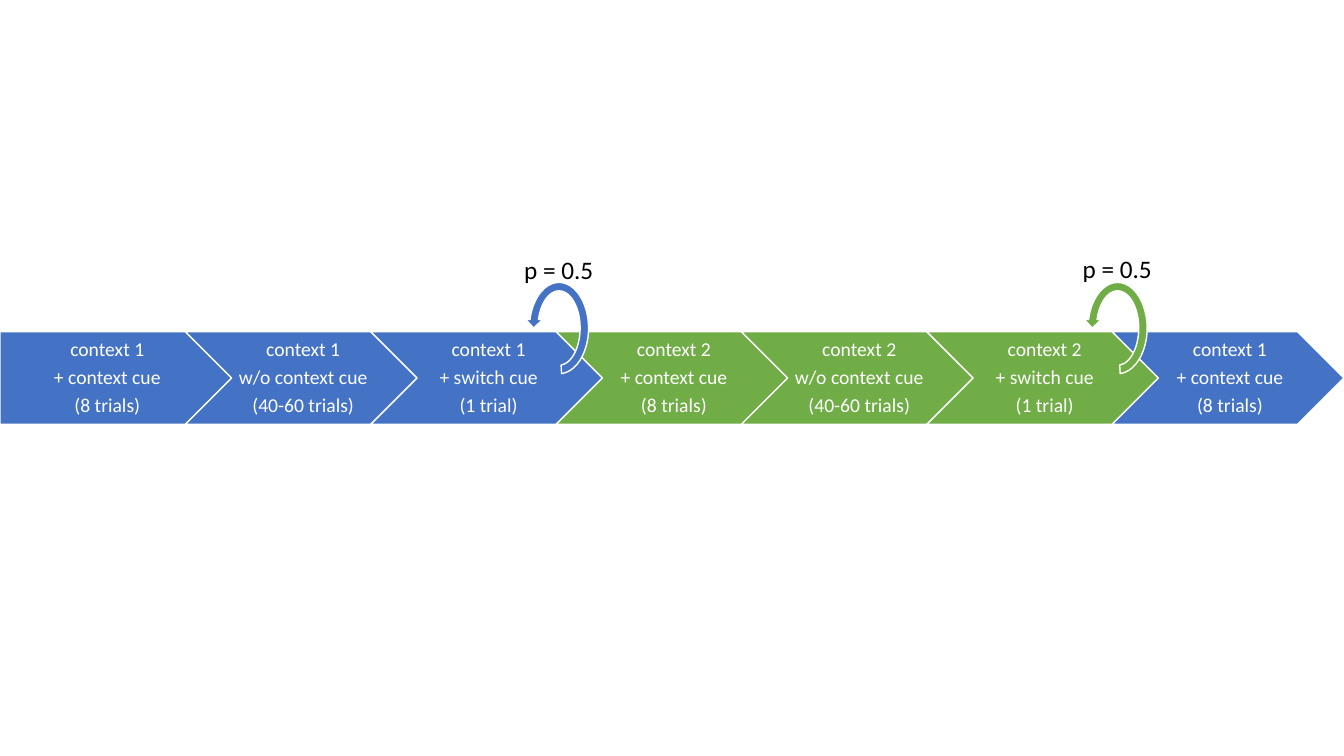
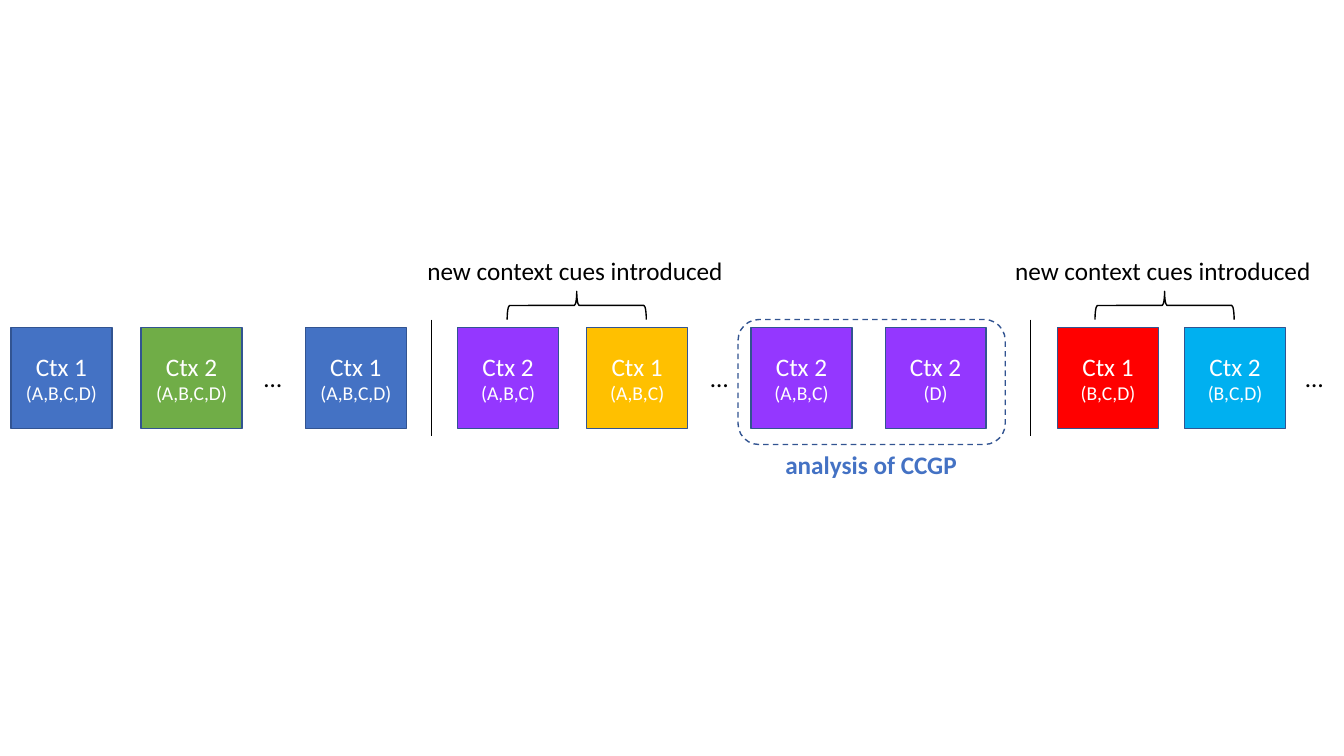
from typing import NamedTuple

from lxml import etree
from pptx import Presentation
from pptx.dml.color import RGBColor
from pptx.enum import dml, shapes, text
from pptx.oxml.ns import qn
from pptx.util import Inches, Pt

FONT = "Calibri"
COLORS = {
    "blue": "4472C4",
    "green": "70AD47",
    "purple": "9437FF",
    "gold": "FFC000",
    "red": "FF0000",
    "sky": "00B0F0",
    "outline": "325491",
    "black": "000000",
    "white": "FFFFFF",
}
SHAPE = shapes.MSO_SHAPE
BAND_TOP, STEP_W, STEP_H = 3.29, 2.3, 0.92
STEP_PITCH = (13.33 - STEP_W) / 6
STEP_INSETS = {"margin_top": 0.04, "margin_right": 0.02, "margin_bottom": 0.04}
LOOP_ADJUSTMENTS = (0.125, 11.423, 204.577, 55.933, 0.125)
BLOCK_TOP, BLOCK_SIZE = 3.25, 1


class Box(NamedTuple):
    left: float
    top: float
    width: float
    height: float


class Step(NamedTuple):
    context: int
    cue: str
    trials: str


class Loop(NamedTuple):
    left: float
    color: str
    label_top: float


class Block(NamedTuple):
    left: float
    context: int
    items: str
    color: str


CUE_STEP = ("+ context cue", "(8 trials)")
PHASES = (CUE_STEP, ("w/o context cue", "(40-60 trials)"), ("+ switch cue", "(1 trial)"))
STEPS = [Step(context, *phase) for context in (1, 2) for phase in PHASES] + [Step(1, *CUE_STEP)]
STEP_COLORS = {1: "blue", 2: "green"}
LOOPS = [Loop(5.21, "blue", 2.47), Loop(10.75, "green", 2.46)]

BLOCKS = [
    Block(0.11, 1, "A,B,C,D", "blue"),
    Block(1.4, 2, "A,B,C,D", "green"),
    Block(3.03, 1, "A,B,C,D", "blue"),
    Block(4.54, 2, "A,B,C", "purple"),
    Block(5.82, 1, "A,B,C", "gold"),
    Block(7.45, 2, "A,B,C", "purple"),
    Block(8.78, 2, "D", "purple"),
    Block(10.49, 1, "B,C,D", "red"),
    Block(11.75, 2, "B,C,D", "sky"),
]
ELLIPSIS_LEFTS = (2.52, 6.95, 12.85)
DIVIDER_LEFTS = (4.28, 10.22)
BRACE_CENTERS = (5.72, 11.55)


def rgb(name: str) -> RGBColor:
    return RGBColor.from_string(COLORS[name])


def add_run(p, content: str, size: float, color: str, bold: bool = False) -> None:
    r = p.add_run()
    r.text = content
    for name, value in {"name": FONT, "size": Pt(size), "bold": bold}.items():
        setattr(r.font, name, value)
    r.font.color.rgb = rgb(color)


def add_shape(slide, kind, box: Box, fill: str | None, line: str):
    sp = slide.shapes.add_shape(kind, *map(Inches, box))
    sp.shadow.inherit = False
    if fill:
        sp.fill.solid()
        sp.fill.fore_color.rgb = rgb(fill)
    else:
        sp.fill.background()
    sp.line.color.rgb = rgb(line)
    sp.line.width = Pt(1)
    return sp


def add_label(slide, content: str, box: Box, color: str = "black", bold: bool = False,
              wrap: bool = True) -> None:
    tf = slide.shapes.add_textbox(*map(Inches, box)).text_frame
    tf.word_wrap = wrap
    tf.auto_size = text.MSO_AUTO_SIZE.SHAPE_TO_FIT_TEXT
    add_run(tf.paragraphs[0], content, 18, color, bold)


def add_step(slide, index: int, step: Step) -> None:
    kind = SHAPE.CHEVRON if index else SHAPE.PENTAGON
    box = Box(index * STEP_PITCH, BAND_TOP, STEP_W, STEP_H)
    tf = add_shape(slide, kind, box, STEP_COLORS[step.context], "white").text_frame
    tf.vertical_anchor = text.MSO_ANCHOR.MIDDLE
    for name, value in {**STEP_INSETS, "margin_left": 0.06 if index else 0.08}.items():
        setattr(tf, name, Inches(value))
    for i, content in enumerate((f"context {step.context}", step.cue, step.trials)):
        p = tf.add_paragraph() if i else tf.paragraphs[0]
        formats = {"alignment": text.PP_ALIGN.CENTER, "line_spacing": 0.9, "space_after": Pt(4.9)}
        for name, value in formats.items():
            setattr(p, name, value)
        add_run(p, content, 14, "white")


def add_loop(slide, loop: Loop) -> None:
    """Add a repeat arrow with its probability above it."""
    box = Box(loop.left, 2.76, 0.67, 0.99)
    sp = add_shape(slide, SHAPE.CIRCULAR_ARROW, box, loop.color, "white")
    for i, value in enumerate(LOOP_ADJUSTMENTS):
        sp.adjustments[i] = value
    sp.element.spPr.find(qn("a:xfrm")).set("flipH", "1")
    add_label(slide, "p = 0.5", Box(loop.left - 0.11, loop.label_top, 0.89, 0.4))


def add_block(slide, block: Block) -> None:
    box = Box(block.left, BLOCK_TOP, BLOCK_SIZE, BLOCK_SIZE)
    tf = add_shape(slide, SHAPE.RECTANGLE, box, block.color, "outline").text_frame
    tf.vertical_anchor = text.MSO_ANCHOR.MIDDLE
    p = tf.paragraphs[0]
    p.alignment = text.PP_ALIGN.CENTER
    add_run(p, f"Ctx {block.context}", 18, "white")
    p.add_line_break()
    add_run(p, f"({block.items})", 14, "white")


def add_divider(slide, left: float) -> None:
    ends = map(Inches, (left, 3.17, left, 4.33))
    line = slide.shapes.add_connector(shapes.MSO_CONNECTOR.STRAIGHT, *ends)
    line.line.color.rgb = rgb("black")
    line.line.width = Pt(1)
    etree.SubElement(line.element.spPr, qn("a:effectLst"))


def add_cue_brace(slide, center: float) -> None:
    box = Box(center - 0.14, 2.34, 0.28, 1.38)
    add_shape(slide, SHAPE.LEFT_BRACE, box, None, "black").rotation = 90
    add_label(slide, "new context cues introduced", Box(center - 1.58, 2.48, 3.17, 0.4))


def build_trial_sequence(slide) -> None:
    for index, step in enumerate(STEPS):
        add_step(slide, index, step)
    for loop in LOOPS:
        add_loop(slide, loop)


def build_block_sequence(slide) -> None:
    for block in BLOCKS:
        add_block(slide, block)
    for left in ELLIPSIS_LEFTS:
        add_label(slide, "…", Box(left, 3.55, 0.38, 0.4), wrap=False)
    for left in DIVIDER_LEFTS:
        add_divider(slide, left)
    for center in BRACE_CENTERS:
        add_cue_brace(slide, center)
    frame = add_shape(slide, SHAPE.ROUNDED_RECTANGLE, Box(7.32, 3.17, 2.65, 1.24), None, "outline")
    frame.line.dash_style = dml.MSO_LINE.DASH
    add_label(slide, "analysis of CCGP", Box(7.69, 4.41, 1.92, 0.4), "blue", bold=True, wrap=False)


def main() -> None:
    prs = Presentation()
    prs.slide_width, prs.slide_height = Inches(13.33), Inches(7.5)
    for build in (build_trial_sequence, build_block_sequence):
        build(prs.slides.add_slide(prs.slide_layouts[6]))
    prs.save("out.pptx")


if __name__ == "__main__":
    main()
